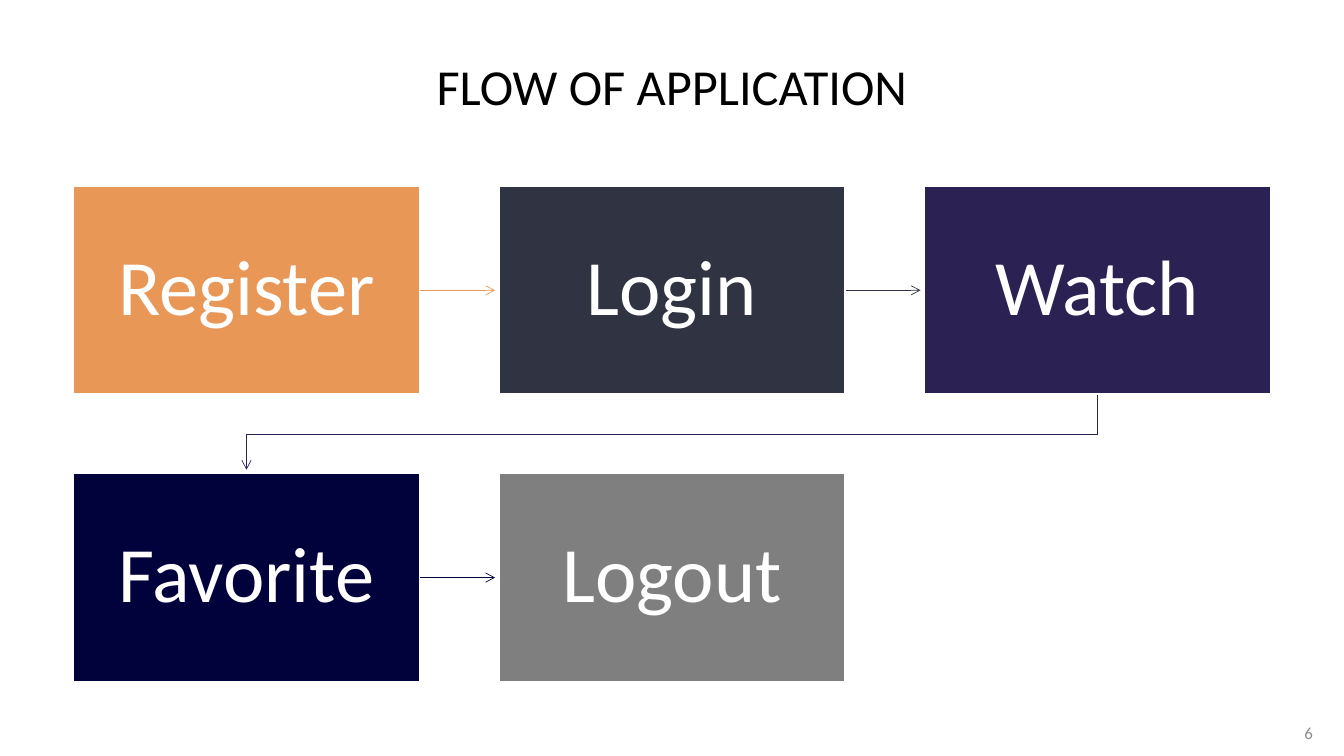
import pptx
import pptx.dml.color
import pptx.enum.shapes
import pptx.enum.text
import pptx.oxml.ns
import pptx.util
from lxml import etree

RGBColor = pptx.dml.color.RGBColor
Inches = pptx.util.Inches
Pt = pptx.util.Pt
Align = pptx.enum.text.PP_ALIGN

WHITE = RGBColor(0xFF, 0xFF, 0xFF)
BLACK = RGBColor(0x00, 0x00, 0x00)
ORANGE = RGBColor(0xE9, 0x97, 0x57)
SLATE = RGBColor(0x2F, 0x33, 0x42)
PURPLE = RGBColor(0x2C, 0x21, 0x53)
NAVY = RGBColor(0x01, 0x02, 0x3B)
GRAY = RGBColor(0x7F, 0x7F, 0x7F)
LIGHT_GRAY = RGBColor(0x8C, 0x8C, 0x8C)

FONT = "Calibri"

# Step grid, in inches
COLUMNS = 3
GRID_LEFT, GRID_TOP = 0.73, 1.85
STEP_WIDTH, STEP_HEIGHT = 3.43, 2.06
COLUMN_PITCH, ROW_PITCH = 4.22, 2.85
ARROW_GAP = 0.04

STEPS = [
    ("Register", ORANGE),
    ("Login", SLATE),
    ("Watch", PURPLE),
    ("Favorite", NAVY),
    ("Logout", GRAY),
]


def step_corner(index):
    row, column = divmod(index, COLUMNS)
    return GRID_LEFT + column * COLUMN_PITCH, GRID_TOP + row * ROW_PITCH


def write_text(shape, text, size, color, align=Align.CENTER,
               margins=(0.1, 0.05), line_spacing=1.0):
    """Fill a shape with one vertically centred paragraph."""
    frame = shape.text_frame
    frame.word_wrap = True
    frame.vertical_anchor = pptx.enum.text.MSO_ANCHOR.MIDDLE
    frame.margin_left = frame.margin_right = Inches(margins[0])
    frame.margin_top = frame.margin_bottom = Inches(margins[1])
    para = frame.paragraphs[0]
    para.alignment = align
    para.line_spacing = line_spacing
    span = para.add_run()
    span.text = text
    span.font.name = FONT
    span.font.size = Pt(size)
    span.font.color.rgb = color


def add_label(page, place, text, size, color, **text_format):
    box = page.shapes.add_textbox(*map(Inches, place))
    write_text(box, text, size, color, **text_format)


def add_step(page, index, name, color):
    left, top = step_corner(index)
    box = page.shapes.add_shape(
        pptx.enum.shapes.MSO_SHAPE.RECTANGLE,
        *map(Inches, (left, top, STEP_WIDTH, STEP_HEIGHT)))
    box.shadow.inherit = False
    box.fill.solid()
    box.fill.fore_color.rgb = color
    box.line.color.rgb = WHITE
    box.line.width = Pt(1)
    write_text(box, name, 56, WHITE, margins=(0.44, 0.44), line_spacing=0.9)


def style_arrow(shape, color):
    qualify = pptx.oxml.ns.qn
    shape.line.color.rgb = color
    shape.line.width = Pt(0.5)
    outline = shape.line._get_or_add_ln()
    etree.SubElement(outline, qualify("a:tailEnd"), type="arrow")
    properties = shape._element.spPr
    etree.SubElement(properties, qualify("a:effectLst"))


def add_arrow(page, index, color):
    """Lead from one step to the next, bending where the row ends."""
    left, top = step_corner(index)
    next_left, next_top = step_corner(index + 1)
    if top == next_top:
        middle = top + STEP_HEIGHT / 2
        arrow = page.shapes.add_connector(
            pptx.enum.shapes.MSO_CONNECTOR.STRAIGHT,
            *map(Inches, (left + STEP_WIDTH, middle,
                          next_left - ARROW_GAP, middle)))
    else:
        start_x, end_x = left + STEP_WIDTH / 2, next_left + STEP_WIDTH / 2
        start_y, end_y = top + STEP_HEIGHT, next_top - ARROW_GAP
        bend_y = (start_y + next_top) / 2
        outline = page.shapes.build_freeform(
            Inches(start_x), Inches(start_y))
        corners = [(start_x, bend_y), (end_x, bend_y), (end_x, end_y)]
        outline.add_line_segments(
            [(Inches(x), Inches(y)) for x, y in corners], close=False)
        arrow = outline.convert_to_shape()
        arrow.fill.background()
    style_arrow(arrow, color)


def main():
    deck = pptx.Presentation()
    deck.slide_width, deck.slide_height = Inches(13.33), Inches(7.5)
    page = deck.slides.add_slide(deck.slide_layouts[6])

    # Page number
    add_label(page, (12.63, 7.07, 0.49, 0.4), "6", 12, LIGHT_GRAY,
              align=Align.RIGHT)

    # Title
    add_label(page, (0.65, 0.4, 12.03, 0.9), "FLOW OF APPLICATION", 36, BLACK)

    # Flow: each arrow takes the colour of the step it leaves
    for index, (name, color) in enumerate(STEPS):
        if index + 1 < len(STEPS):
            add_arrow(page, index, color)
        add_step(page, index, name, color)

    deck.save("out.pptx")


if __name__ == "__main__":
    main()
